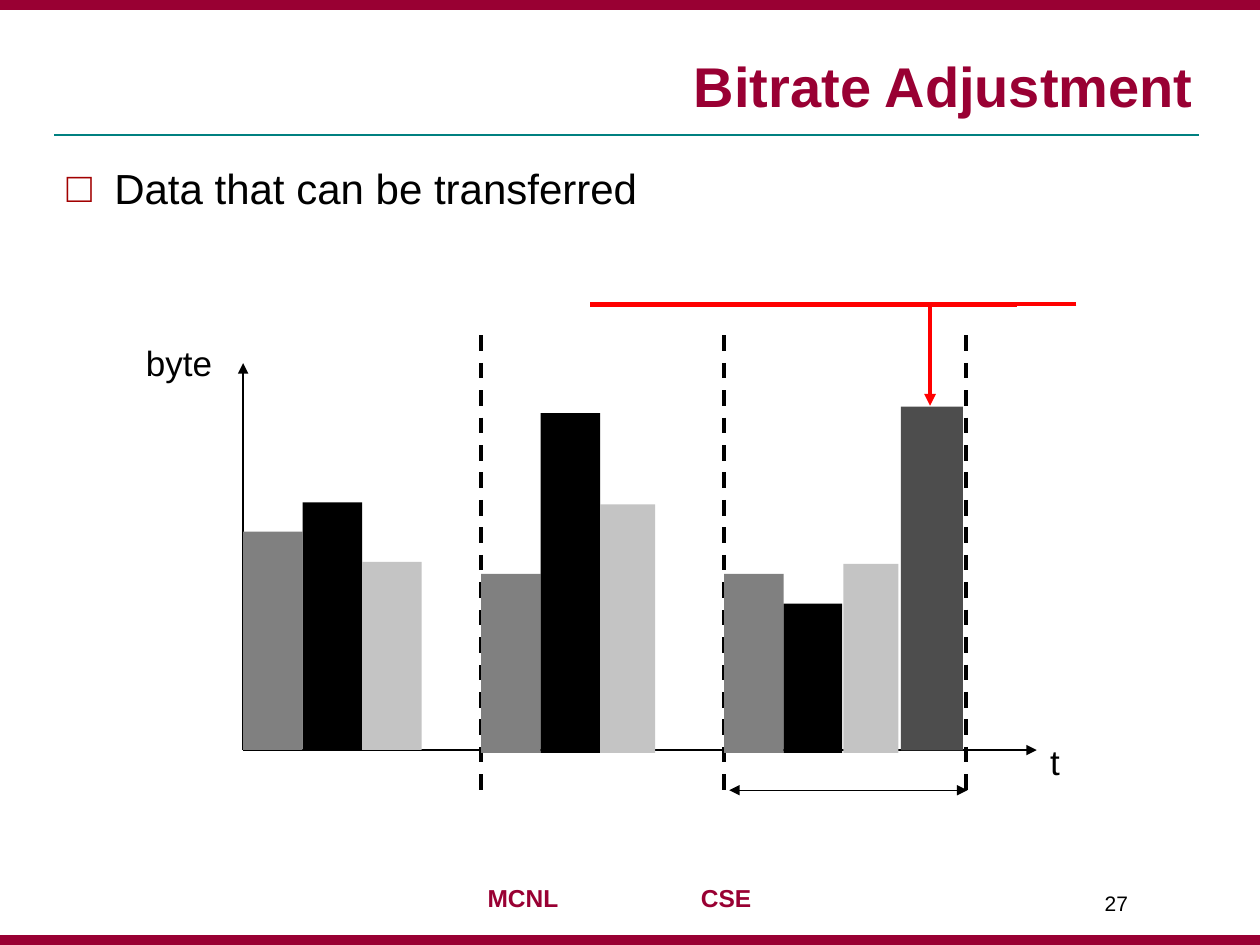
import pptx
import pptx.util
import pptx.dml.color
import pptx.enum.dml
import pptx.enum.shapes
import pptx.enum.text
import pptx.oxml
import pptx.oxml.ns
from pptx.util import Cm

THEME = {
    "font": "Arial",
    "crimson": "990033", "teal": "008080", "bullet": "A20000",
    "red": "FF0000", "ink": "000000",
    "gray": "808080", "light": "C4C4C4", "dark": "4D4D4D",
    "title": 32, "body": 24, "label": 20, "footer": 14, "number": 12,
}

TITLE = "Bitrate Adjustment"
BULLET = "Data that can be transferred"
FOOTER = "MCNL\tCSE"
PAGE = "27"

# Chart geometry in cm
ORIGIN = (4.9, 15.12)
BAR_PITCH = 1.2
# Each period: left, base, bars as (top, width)
PERIODS = [
    (4.9, 15.12, [(10.72, 1.2), (10.13, 1.2), (11.33, 1.2)]),
    (9.7, 15.18, [(11.57, 1.2), (8.33, 1.2), (10.17, 1.11)]),
    (14.6, 15.18, [(11.57, 1.2), (12.17, 1.18), (11.37, 1.11)]),
]
BAR_COLORS = ["gray", "ink", "light"]
EXTRA_BAR = (18.16, 8.2, 1.25, 6.93)
BOUNDARIES = [9.7, 14.6, 19.48]
BOUNDARY_TOP, BOUNDARY_BOTTOM = 6.76, 15.93


def rgb(name):
    return pptx.dml.color.RGBColor.from_string(THEME[name])


def add_xml(parent, xml):
    parent.append(pptx.oxml.parse_xml(xml.replace(
        " />", f' {pptx.oxml.ns.nsdecls("a")} />', 1) if xml.endswith(" />")
        else xml.replace(">", f' {pptx.oxml.ns.nsdecls("a")}>', 1)))


def add_block(slide, left, top, width, height, color):
    block = slide.shapes.add_shape(
        pptx.enum.shapes.MSO_SHAPE.RECTANGLE,
        Cm(left), Cm(top), Cm(width), Cm(height))
    block.shadow.inherit = False
    block.fill.solid()
    block.fill.fore_color.rgb = rgb(color)
    block.line.fill.background()


def add_line(slide, start, end, color="ink", width=0.75, heads=(), dashed=False,
             kind=pptx.enum.shapes.MSO_CONNECTOR.STRAIGHT):
    """Heads lists the ends with arrows: headEnd at start, tailEnd at end."""
    line = slide.shapes.add_connector(kind, *map(Cm, start + end))
    line.line.color.rgb = rgb(color)
    line.line.width = pptx.util.Pt(width)
    if dashed:
        line.line.dash_style = pptx.enum.dml.MSO_LINE.DASH
    for head in heads:
        add_xml(line.line._get_or_add_ln(), f'<a:{head} type="triangle" />')
    add_xml(line._element.spPr, "<a:effectLst />")
    return line


def style(paragraph, size, color="ink", bold=False):
    for run in paragraph.runs:
        run.font.name = THEME["font"]
        run.font.size = pptx.util.Pt(THEME[size])
        run.font.color.rgb = rgb(color)
        run.font.bold = bold


def add_label(slide, text, left, top, width, height, size, wrap=False):
    label = slide.shapes.add_textbox(Cm(left), Cm(top), Cm(width), Cm(height))
    label.text_frame.word_wrap = wrap
    label.text_frame.text = text
    style(label.text_frame.paragraphs[0], size)
    return label.text_frame.paragraphs[0]


def fill_placeholder(holder, text, left, top, width, height, anchor):
    holder.left, holder.top = Cm(left), Cm(top)
    holder.width, holder.height = Cm(width), Cm(height)
    frame = holder.text_frame
    frame.text = text
    frame.word_wrap = True
    frame.auto_size = pptx.enum.text.MSO_AUTO_SIZE.NONE
    frame.vertical_anchor = anchor
    return frame.paragraphs[0]


def add_frame(slide):
    add_line(slide, (1.09, 2.72), (24.18, 2.72), "teal", 1)
    for top in (18.85, 0):
        add_block(slide, 0, top, 25.4, 0.2, "crimson")
    footer = add_label(slide, FOOTER, 9.58, 17.68, 5.87, 0.86, "footer")
    add_xml(footer._p.get_or_add_pPr(),
            f'<a:tabLst><a:tab pos="{Cm(4.3)}" algn="l"/></a:tabLst>')
    style(footer, "footer", "crimson", bold=True)
    add_label(slide, PAGE, 22.02, 17.83, 2.11, 1.02, "number", wrap=True)


def add_texts(slide):
    anchors = pptx.enum.text.MSO_ANCHOR
    title = fill_placeholder(slide.shapes.title, TITLE,
                             1.27, 0.64, 23.04, 1.88, anchors.BOTTOM)
    title.alignment = pptx.enum.text.PP_ALIGN.RIGHT
    style(title, "title", "crimson", bold=True)

    body = fill_placeholder(slide.placeholders[1], BULLET,
                            1.09, 3.15, 22.81, 1.27, anchors.TOP)
    body.space_before = pptx.util.Pt(0)
    properties = body._p.get_or_add_pPr()
    properties.set("marL", str(Cm(0.96)))
    properties.set("indent", str(-Cm(0.96)))
    add_xml(properties,
            f'<a:buClr><a:srgbClr val="{THEME["bullet"]}"/></a:buClr>')
    add_xml(properties, f'<a:buFont typeface="{THEME["font"]}" />')
    add_xml(properties, '<a:buChar char="□" />')
    style(body, "body")


def add_chart_drawing(slide):
    for x in BOUNDARIES:
        add_line(slide, (x, BOUNDARY_TOP), (x, BOUNDARY_BOTTOM),
                 width=2.25, dashed=True)
    for axis_end in ((ORIGIN[0], 7.32), (20.9, ORIGIN[1])):
        add_line(slide, ORIGIN, axis_end, heads=["tailEnd"])
    for left, base, bars in PERIODS:
        for i, (top, width) in enumerate(bars):
            add_block(slide, left + i * BAR_PITCH, top, width, base - top,
                      BAR_COLORS[i])
    add_block(slide, *EXTRA_BAR, "dark")
    add_line(slide, (14.7, BOUNDARY_BOTTOM), (19.5, BOUNDARY_BOTTOM),
             heads=["headEnd", "tailEnd"])

    # Limit line, with the elbow arrow down to the extra bar
    elbow = add_line(slide, (21.7, 6.12), (18.75, 8.18), "red", 2.25, ["tailEnd"],
                     kind=pptx.enum.shapes.MSO_CONNECTOR.ELBOW)
    elbow._element.spPr.find(pptx.oxml.ns.qn("a:prstGeom")).set(
        "prst", "bentConnector2")
    add_line(slide, (11.9, 6.14), (20.5, 6.14), "red", 3)

    add_label(slide, "t", 20.92, 14.81, 0.71, 1.12, "label")
    add_label(slide, "byte", 2.69, 6.76, 1.85, 1.12, "label")


def main():
    deck = pptx.Presentation()
    deck.slide_width, deck.slide_height = Cm(25.4), Cm(19.05)
    slide = deck.slides.add_slide(deck.slide_layouts[1])
    add_frame(slide)
    add_texts(slide)
    add_chart_drawing(slide)
    deck.save("out.pptx")


if __name__ == "__main__":
    main()
